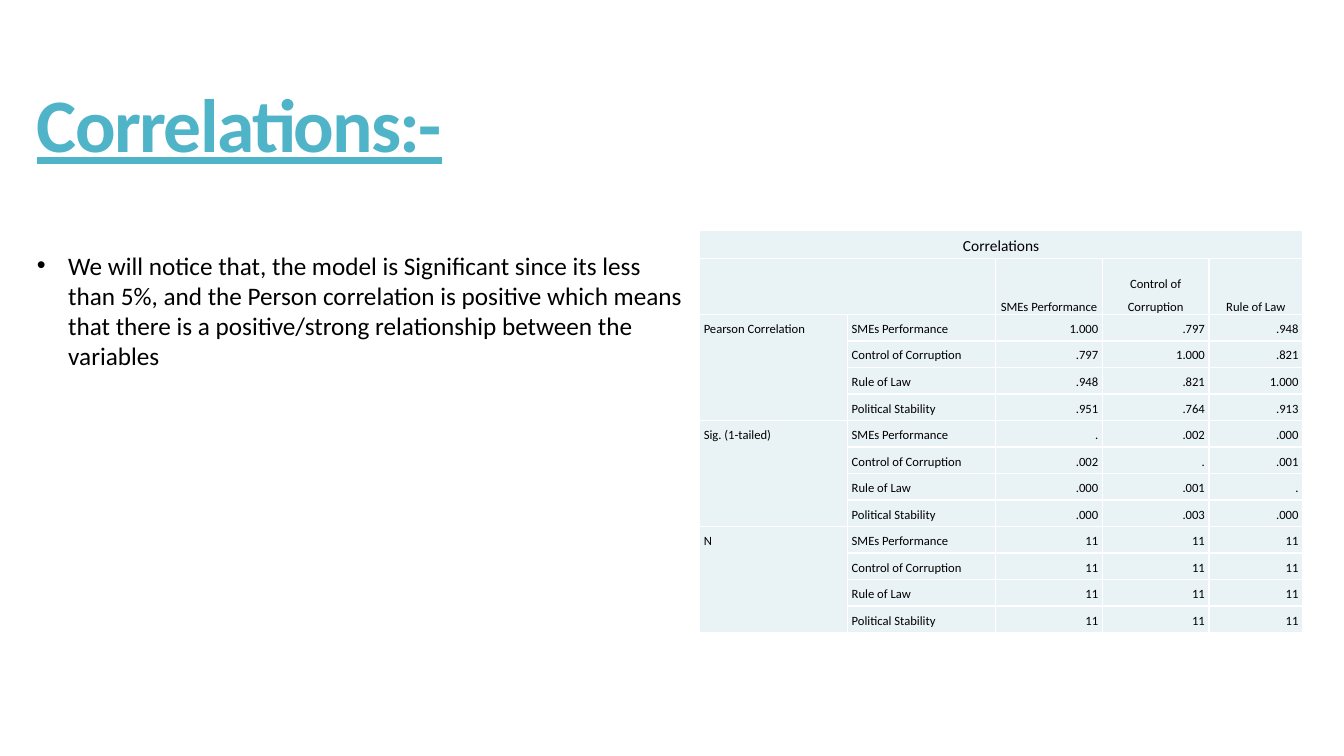
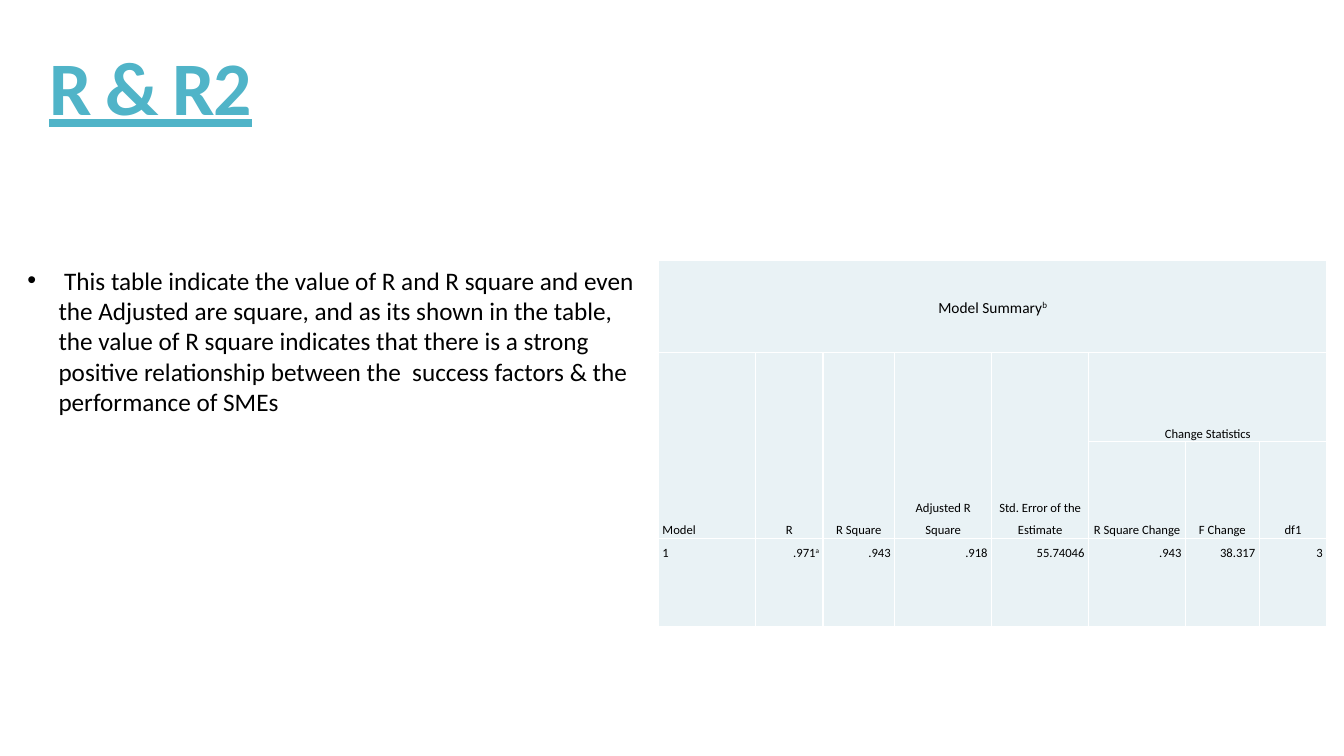
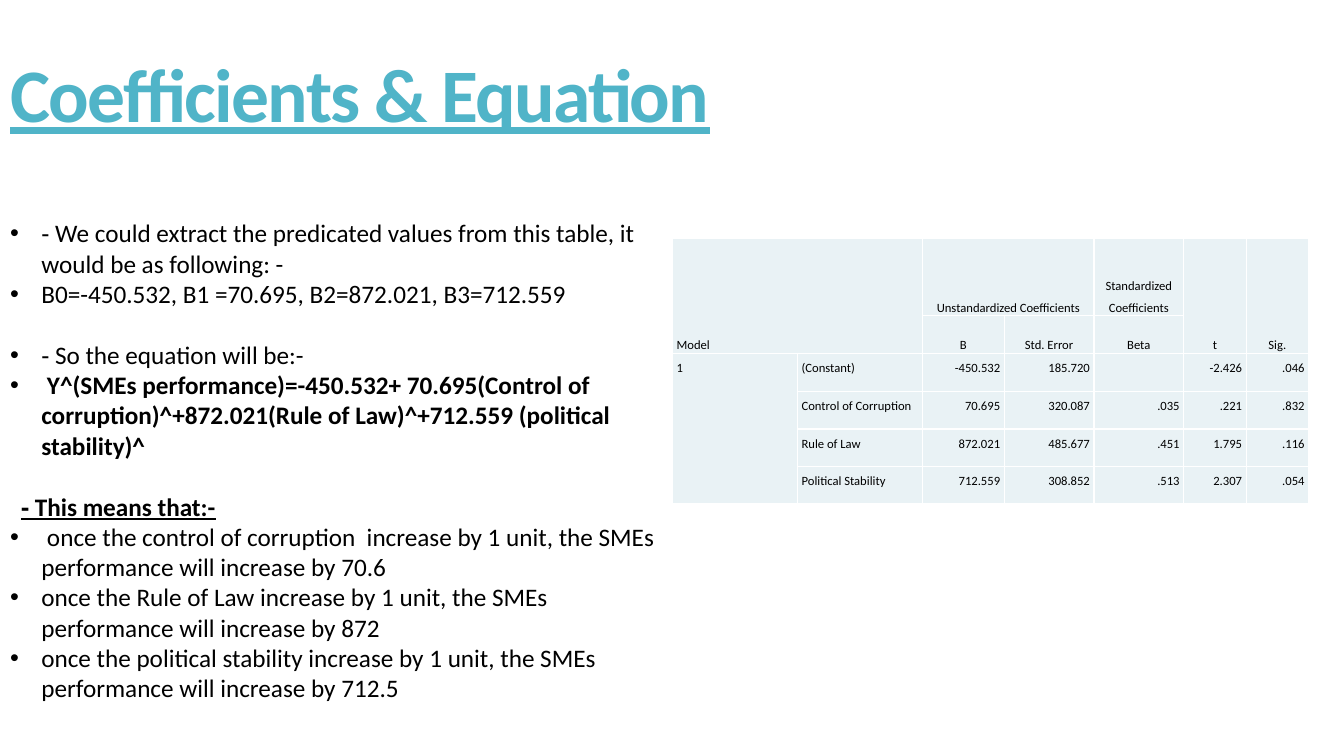
"""Build three regression result slides, each with a title, a list and a table."""
from dataclasses import dataclass

from lxml.etree import SubElement
from pptx import Presentation
from pptx.dml.color import RGBColor
from pptx.enum.text import MSO_ANCHOR as Anchor, MSO_AUTO_SIZE as AutoSize, PP_ALIGN as Align
from pptx.oxml.ns import qn
from pptx.util import Inches, Pt


@dataclass(frozen=True)
class Theme:
    font: str = "Calibri"
    accent: RGBColor = RGBColor(0x50, 0xB4, 0xC8)
    ink: RGBColor = RGBColor(0, 0, 0)
    cell: RGBColor = RGBColor(0xE9, 0xF2, 0xF5)
    border: str = "FFFFFF"
    title_size: int = 54
    body_size: int = 18
    caption_size: int = 11
    table_size: int = 9


theme = Theme()
TITLE_FONT = {"name": theme.font, "size": Pt(theme.title_size), "bold": True, "underline": True}
BODY_FONT = {"name": theme.font, "size": Pt(theme.body_size)}
STRONG = {"bold": True}
HEADING = {"bold": True, "underline": True}
LIST_GAP = 22
BULLET_INDENT = Inches(0.31)
HEADING_INDENT = Inches(0.11)
CELL_INDENT = Inches(0.04)
NO_MARGINS = {f"margin_{side}": 0 for side in ("left", "top", "right", "bottom")}
TABLE_FLAGS = {"first_row": False, "horz_banding": False}

FACTORS = ("SMEs Performance", "Control of Corruption", "Rule of Law", "Political Stability")
CORRELATION_BLOCKS = {
    "Pearson Correlation": (
        ("1.000", ".797", ".948"),
        (".797", "1.000", ".821"),
        (".948", ".821", "1.000"),
        (".951", ".764", ".913"),
    ),
    "Sig. (1-tailed)": (
        (".", ".002", ".000"),
        (".002", ".", ".001"),
        (".000", ".001", "."),
        (".000", ".003", ".000"),
    ),
    "N": (("11",) * 3,) * 4,
}
correlation_rows = [("Correlations",), ("", "", *FACTORS[:3])]
for block, lines in CORRELATION_BLOCKS.items():
    for number, (factor, values) in enumerate(zip(FACTORS, lines)):
        correlation_rows.append(("" if number else block, factor, *values))

SLIDES = (
    {
        "title": "Correlations:-",
        "title_at": (2, 5.6, 88.37, 23.07),
        "body_at": (2, 32.4, 50, 17.5),
        "body": (
            ("We will notice that, the model is Significant since its less than 5%, and the Person "
             "correlation is positive which means that there is a positive/strong relationship "
             "between the variables", {}, 0),
        ),
        "table_at": (52.06, 30.53, 44.86, 53.2),
        "columns": (1.47, 1.47, 1.06, 1.06, 0.93),
        "rows": (0.27, 0.55) + (0.26,) * 12,
        "captions": 1,
        "heads": 2,
        "labels": 2,
        "spans": ((0, 0, 1, 5), (1, 0, 1, 2), (2, 0, 4, 1), (6, 0, 4, 1), (10, 0, 4, 1)),
        "cells": correlation_rows,
    },
    {
        "title": "R & R2",
        "title_at": (2.93, 2.27, 88.37, 19.87),
        "body_at": (1.28, 34.4, 47.71, 21.6),
        "body": (
            (" This table indicate the value of R and R square and even the Adjusted are square, "
             "and as its shown in the table, the value of R square indicates that there is a strong "
             "positive relationship between the  success factors & the performance of SMEs", {}, 0),
        ),
        "table_at": (48.99, 34.4, 49.74, 48.53),
        "columns": (0.96, 0.67, 0.71, 0.96, 0.96, 0.96, 0.73, 0.67),
        "rows": (0.92, 0.88, 0.96, 0.88),
        "captions": 1,
        "heads": 3,
        "labels": 1,
        "spans": ((0, 0, 1, 8), (1, 5, 1, 3), *((1, column, 2, 1) for column in range(5))),
        "cells": (
            ("Model Summary^b",),
            ("Model", "R", "R Square", "Adjusted R Square", "Std. Error of the Estimate",
             "Change Statistics"),
            ("", "", "", "", "", "R Square Change", "F Change", "df1"),
            ("1", ".971^a", ".943", ".918", "55.74046", ".943", "38.317", "3"),
        ),
    },
    {
        "title": "Coefficients & Equation",
        "title_at": (0, 2, 88.37, 22.4),
        "body_at": (0, 28.13, 50.04, 71.8),
        "body": (
            ("‐ We could extract the predicated values from this table, it would be as following: -",
             {}, 0),
            ("B0=-450.532, B1 =70.695, B2=872.021, B3=712.559", {}, 0),
            ("‐ So the equation will be:-", {}, LIST_GAP),
            (" Y^(SMEs performance)=-450.532+ 70.695(Control of corruption)^+872.021(Rule of Law)^"
             "+712.559 (political stability)^", STRONG, 0),
            ("‐ This means that:-", HEADING, LIST_GAP),
            (" once the control of corruption  increase by 1 unit, the SMEs performance will "
             "increase by 70.6", {}, 0),
            ("once the Rule of Law increase by 1 unit, the SMEs performance will increase by 872",
             {}, 0),
            ("once the political stability increase by 1 unit, the SMEs performance will increase "
             "by 712.5", {}, 0),
        ),
        "table_at": (50.04, 31.47, 47.34, 35.2),
        "columns": (1.24, 1.24, 0.81, 0.89, 0.89, 0.62, 0.62),
        "rows": (0.77, 0.37, 0.38, 0.37, 0.37, 0.37),
        "captions": 0,
        "heads": 2,
        "labels": 2,
        "spans": ((0, 0, 2, 2), (0, 2, 1, 2), (0, 5, 2, 1), (0, 6, 2, 1), (2, 0, 4, 1)),
        "cells": (
            ("Model", "", "Unstandardized Coefficients", "", "Standardized Coefficients", "t", "Sig."),
            ("", "", "B", "Std. Error", "Beta"),
            ("1", "(Constant)", "-450.532", "185.720", "", "-2.426", ".046"),
            ("", FACTORS[1], "70.695", "320.087", ".035", ".221", ".832"),
            ("", FACTORS[2], "872.021", "485.677", ".451", "1.795", ".116"),
            ("", FACTORS[3], "712.559", "308.852", ".513", "2.307", ".054"),
        ),
    },
)

presentation = Presentation()
presentation.slide_width, presentation.slide_height = Inches(13.33), Inches(7.5)


def assign(target, values):
    for name, value in values.items():
        setattr(target, name, value)


def box(percents):
    width, height = presentation.slide_width, presentation.slide_height
    lengths = (int(size * share / 100) for size, share in zip((width, height) * 2, percents))
    return dict(zip(("left", "top", "width", "height"), lengths))


for content in SLIDES:
    slide = presentation.slides.add_slide(presentation.slide_layouts[1])
    title, body = slide.placeholders

    assign(title, box(content["title_at"]))
    assign(title.text_frame, {"auto_size": AutoSize.NONE, "vertical_anchor": Anchor.MIDDLE,
                              "word_wrap": True})
    paragraph = title.text_frame.paragraphs[0]
    assign(paragraph, {"alignment": Align.LEFT, "line_spacing": 0.85})
    run = paragraph.add_run()
    run.text = content["title"]
    assign(run.font, TITLE_FONT)
    run.font.color.rgb = theme.accent
    run._r.get_or_add_rPr().set("spc", "-120")

    assign(body, box(content["body_at"]))
    assign(body.text_frame, {"auto_size": AutoSize.NONE, "vertical_anchor": Anchor.TOP,
                             "word_wrap": True})
    for number, (text, emphasis, gap) in enumerate(content["body"]):
        paragraph = body.text_frame.add_paragraph() if number else body.text_frame.paragraphs[0]
        assign(paragraph, {"space_before": Pt(gap), "space_after": Pt(0), "line_spacing": 1.0})
        run = paragraph.add_run()
        run.text = text
        assign(run.font, {**BODY_FONT, **emphasis})
        run.font.color.rgb = theme.ink
        properties = paragraph._p.get_or_add_pPr()
        is_heading = emphasis is HEADING
        properties.set("marL", str(HEADING_INDENT if is_heading else BULLET_INDENT))
        properties.set("indent", str(0 if is_heading else -BULLET_INDENT))
        if is_heading:
            SubElement(properties, qn("a:buNone"))

    area = box(content["table_at"])
    columns, rows = content["columns"], content["rows"]
    table = slide.shapes.add_table(len(rows), len(columns), **area).table
    assign(table, TABLE_FLAGS)
    for column, share in zip(table.columns, columns):
        column.width = int(area["width"] * share / sum(columns))
    for row, share in zip(table.rows, rows):
        row.height = int(area["height"] * share / sum(rows))
    for top, left, height, width in content["spans"]:
        table.cell(top, left).merge(table.cell(top + height - 1, left + width - 1))

    for row_number, row in enumerate(table.rows):
        texts = content["cells"][row_number]
        is_caption = row_number < content["captions"]
        is_head = row_number < content["heads"]
        anchor = Anchor.MIDDLE if is_caption else Anchor.BOTTOM if is_head else Anchor.TOP
        size = theme.caption_size if is_caption else theme.table_size
        for column_number, cell in enumerate(row.cells):
            assign(cell, {**NO_MARGINS, "vertical_anchor": anchor})
            properties = cell._tc.get_or_add_tcPr()
            for edge in ("a:lnL", "a:lnR", "a:lnT", "a:lnB"):
                line = SubElement(properties, qn(edge), w=str(Pt(1)))
                SubElement(SubElement(line, qn("a:solidFill")), qn("a:srgbClr"), val=theme.border)
            cell.fill.solid()
            cell.fill.fore_color.rgb = theme.cell
            text = texts[column_number] if column_number < len(texts) else ""
            if not text:
                continue
            paragraph = cell.text_frame.paragraphs[0]
            if is_caption or is_head and column_number:
                alignment = Align.CENTER
            else:
                alignment = Align.LEFT if column_number < content["labels"] else Align.RIGHT
            assign(paragraph, {"alignment": alignment, "line_spacing": Pt(16)})
            for side in ("marL", "marR"):
                paragraph._p.get_or_add_pPr().set(side, str(CELL_INDENT))
            for part_number, part in enumerate(text.split("^")):
                run = paragraph.add_run()
                run.text = part
                assign(run.font, {"name": theme.font, "size": Pt(size)})
                run.font.color.rgb = theme.ink
                if part_number:
                    run._r.get_or_add_rPr().set("baseline", "30000")

presentation.save("out.pptx")
